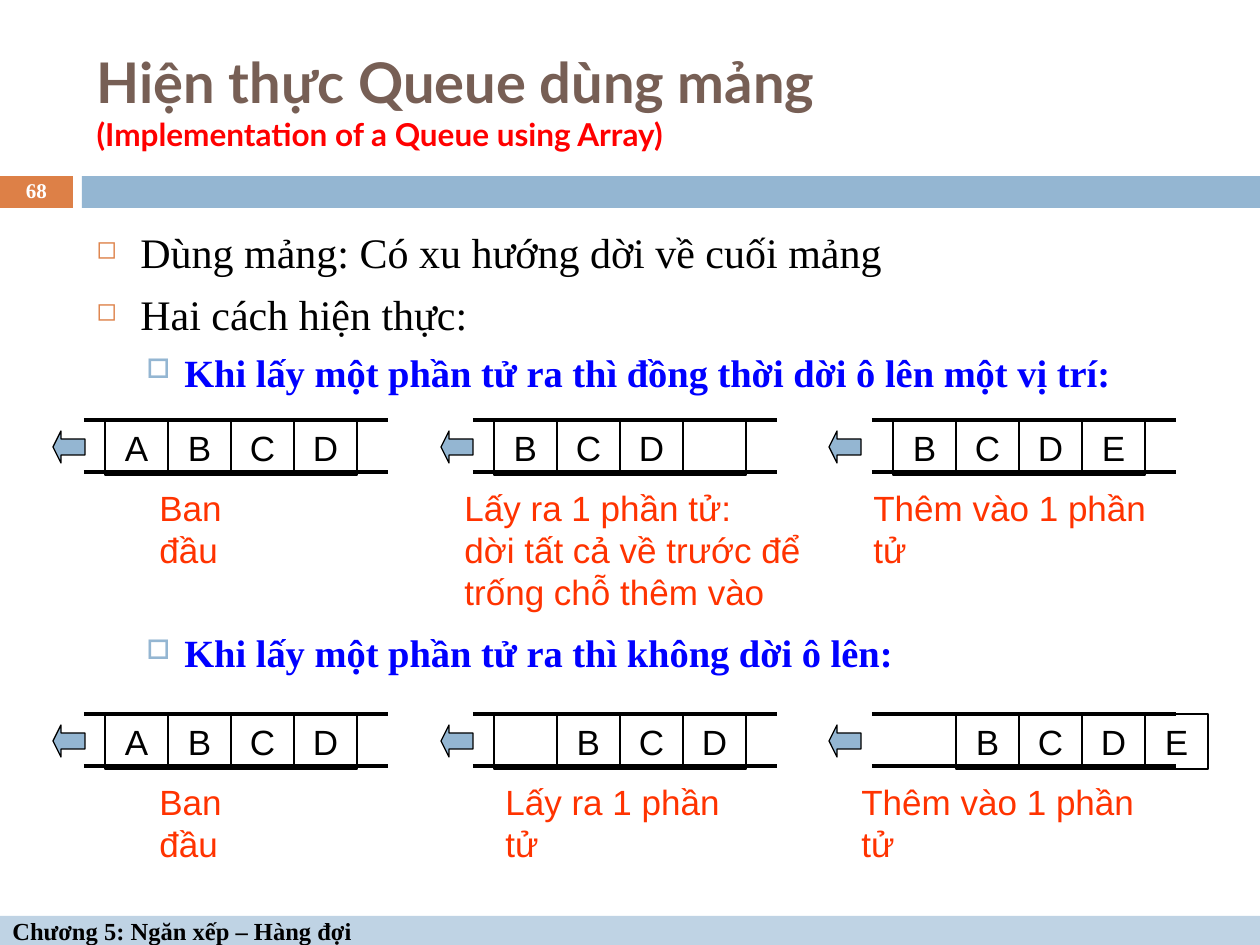
from dataclasses import dataclass

from lxml.etree import SubElement
from pptx import Presentation
from pptx.dml.color import RGBColor
from pptx.enum.shapes import MSO_CONNECTOR as Connector, MSO_SHAPE as Shape
from pptx.enum.text import MSO_ANCHOR as Anchor, MSO_AUTO_SIZE as AutoSize, PP_ALIGN as Align
from pptx.oxml.ns import qn
from pptx.util import Pt

PX = 914400 / 126


@dataclass(frozen=True)
class Theme:
    white: str = "FFFFFF"
    black: str = "000000"
    orange: str = "DD8047"
    blue: str = "94B6D2"
    pale_blue: str = "BFD3E4"
    brown: str = "775F55"
    red: str = "FF0000"
    caption: str = "FF3300"
    emphasis: str = "0000FF"
    heading_font: str = "Lato"
    body_font: str = "Times New Roman"
    diagram_font: str = "Arial"
    title_size: int = 32
    subtitle_size: int = 18
    body_size: int = 24
    point_size: int = 22
    diagram_size: int = 20
    footer_size: int = 14
    number_size: int = 12
    rail_width: float = 2.25
    outline_width: float = 0.75


THEME = Theme()
DIAGRAM_TEXT = dict(name=THEME.diagram_font, size=THEME.diagram_size, bold=False)


def px(*lengths):
    return [round(length * PX) for length in lengths]


def apply(target, **values):
    for name, value in values.items():
        setattr(target, name, value)


def write(paragraph, text, color, size, **font):
    run = paragraph.add_run()
    run.text = text
    apply(run.font, size=Pt(size), **font)
    run.font.color.rgb = RGBColor.from_string(color)


def add_box(shapes, kind, box, fill=None, line=None):
    shape = shapes.add_shape(kind, *px(*box))
    shape.shadow.inherit = False
    if fill:
        shape.fill.solid()
        shape.fill.fore_color.rgb = RGBColor.from_string(fill)
    else:
        shape.fill.background()
    if line:
        shape.line.color.rgb = RGBColor.from_string(line)
        shape.line.width = Pt(THEME.outline_width)
    else:
        shape.line.fill.background()
    return shape


def add_rail(shapes, x, y, width):
    rail = shapes.add_connector(Connector.STRAIGHT, *px(x, y, x + width, y))
    rail.line.color.rgb = RGBColor.from_string(THEME.black)
    rail.line.width = Pt(THEME.rail_width)
    SubElement(rail._element.spPr, qn("a:effectLst"))


def add_text_frame(shapes, box, **values):
    frame = shapes.add_textbox(*px(*box)).text_frame
    apply(frame, **{"word_wrap": True, **values})
    return frame


def set_bullet(paragraph, symbol, color, percent, left, hanging):
    properties = paragraph._p.get_or_add_pPr()
    margin, indent = px(left, -hanging)
    properties.set("marL", str(margin))
    properties.set("indent", str(indent))
    bullet_color = SubElement(properties, qn("a:buClr"))
    SubElement(bullet_color, qn("a:srgbClr"), val=color)
    SubElement(properties, qn("a:buSzPct"), val=str(percent * 1000))
    SubElement(properties, qn("a:buChar"), char=symbol)


def build_title(slide, box):
    title = slide.shapes.title
    apply(title, **dict(zip(("left", "top", "width", "height"), px(*box))))
    apply(title.text_frame, vertical_anchor=Anchor.MIDDLE, word_wrap=True, auto_size=AutoSize.NONE)
    paragraph = title.text_frame.paragraphs[0]
    paragraph.alignment = Align.LEFT
    font = dict(name=THEME.heading_font, bold=True)
    write(paragraph, "Hiện thực Queue dùng mảng", THEME.brown, THEME.title_size, **font)
    paragraph.add_line_break()
    write(paragraph, "(Implementation of a Queue using Array)", THEME.red, THEME.subtitle_size, **font)


def build_header_band(slide, box):
    x, y, width, height = box
    add_box(slide.shapes, Shape.RECTANGLE, (x, y, 73, height), THEME.orange)
    add_box(slide.shapes, Shape.RECTANGLE, (x + 82, y, width - 82, height), THEME.blue)
    frame = add_text_frame(slide.shapes, (x, y - 1, 73, height + 2), vertical_anchor=Anchor.MIDDLE)
    paragraph = frame.paragraphs[0]
    apply(paragraph, alignment=Align.CENTER, line_spacing=0.8)
    write(paragraph, "68", THEME.white, THEME.number_size, name=THEME.body_font, bold=True)


def build_footer(slide, box):
    footer = add_box(slide.shapes, Shape.RECTANGLE, box, THEME.pale_blue)
    footer.text_frame.vertical_anchor = Anchor.MIDDLE
    paragraph = footer.text_frame.paragraphs[0]
    paragraph.alignment = Align.LEFT
    write(paragraph, "Chương 5: Ngăn xếp – Hàng đợi", THEME.black, THEME.footer_size,
          name=THEME.body_font, bold=True)


def build_body(slide, box):
    frame = add_text_frame(slide.shapes, box)
    items = [
        (0, 7, "Dùng mảng: Có xu hướng dời về cuối mảng"),
        (0, 7, "Hai cách hiện thực:"),
        (1, 5.5, "Khi lấy một phần tử ra thì đồng thời dời ô lên một vị trí:"),
        (1, 134, "Khi lấy một phần tử ra thì không dời ô lên:"),
    ]
    styles = [
        (("◻", THEME.orange, 60, 44, 44), THEME.black, THEME.body_size, False),
        (("□", THEME.blue, 70, 88, 38), THEME.emphasis, THEME.point_size, True),
    ]
    for index, (level, space, text) in enumerate(items):
        paragraph = frame.add_paragraph() if index else frame.paragraphs[0]
        bullet, color, size, bold = styles[level]
        apply(paragraph, level=level, space_before=Pt(space))
        set_bullet(paragraph, *bullet)
        write(paragraph, text, color, size, name=THEME.body_font, bold=bold)


def build_queue(slide, box, cells):
    x, y, width, height = box
    shapes = slide.shapes.add_group_shape().shapes
    for rail_y in (y, y + height):
        add_rail(shapes, x, rail_y, width)
    for slot, letter in enumerate(cells):
        if letter is None:
            continue
        cell = add_box(shapes, Shape.RECTANGLE, (x + 21 + 63 * slot, y, 63, height + 3), line=THEME.black)
        if letter:
            cell.text_frame.vertical_anchor = Anchor.TOP
            paragraph = cell.text_frame.paragraphs[0]
            paragraph.alignment = Align.CENTER
            write(paragraph, letter, THEME.black, **DIAGRAM_TEXT)


def build_caption(slide, box, lines):
    frame = add_text_frame(slide.shapes, box, word_wrap=False)
    for index, line in enumerate(lines):
        paragraph = frame.add_paragraph() if index else frame.paragraphs[0]
        write(paragraph, line, THEME.caption, **DIAGRAM_TEXT)


def build_queue_row(slide, box, states):
    x, y, width, height = box
    for index, (rail_x, cells, caption_x, caption_width, lines) in enumerate(states):
        build_queue(slide, (x + rail_x, y, 304, height), cells)
        arrow = add_box(slide.shapes, Shape.LEFT_ARROW, (x + 388 * index, y + 11, 32, 32),
                        THEME.blue, THEME.black)
        arrow.adjustments[1] = 0.25
        caption_box = (x + caption_x, y + 60, caption_width, 13 + 42 * len(lines))
        build_caption(slide, caption_box, lines)


def main():
    presentation = Presentation()
    apply(presentation, **dict(zip(("slide_width", "slide_height"), px(1260, 945))))
    slide = presentation.slides.add_slide(presentation.slide_layouts[5])
    build_header_band(slide, (0, 176, 1260, 32))
    build_footer(slide, (0, 916, 1260, 29))
    build_title(slide, (84, 32, 1124, 136))
    build_body(slide, (84, 220, 1124, 620))
    shifting = [
        (31, "ABCD", 94, 155, ["Ban đầu"]),
        (420, ["B", "C", "D", ""], 399, 372,
         ["Lấy ra 1 phần tử:", "dời tất cả về trước để", "trống chỗ thêm vào"]),
        (819, "BCDE", 808, 340, ["Thêm vào 1 phần tử"]),
    ]
    staying = [
        (31, "ABCD", 94, 155, ["Ban đầu"]),
        (420, ["", "B", "C", "D"], 440, 282, ["Lấy ra 1 phần tử"]),
        (819, [None, "B", "C", "D", "E"], 796, 340, ["Thêm vào 1 phần tử"]),
    ]
    for y, states in ((420, shifting), (714, staying)):
        build_queue_row(slide, (53, y, 1155, 52), states)
    presentation.save("out.pptx")


if __name__ == "__main__":
    main()
